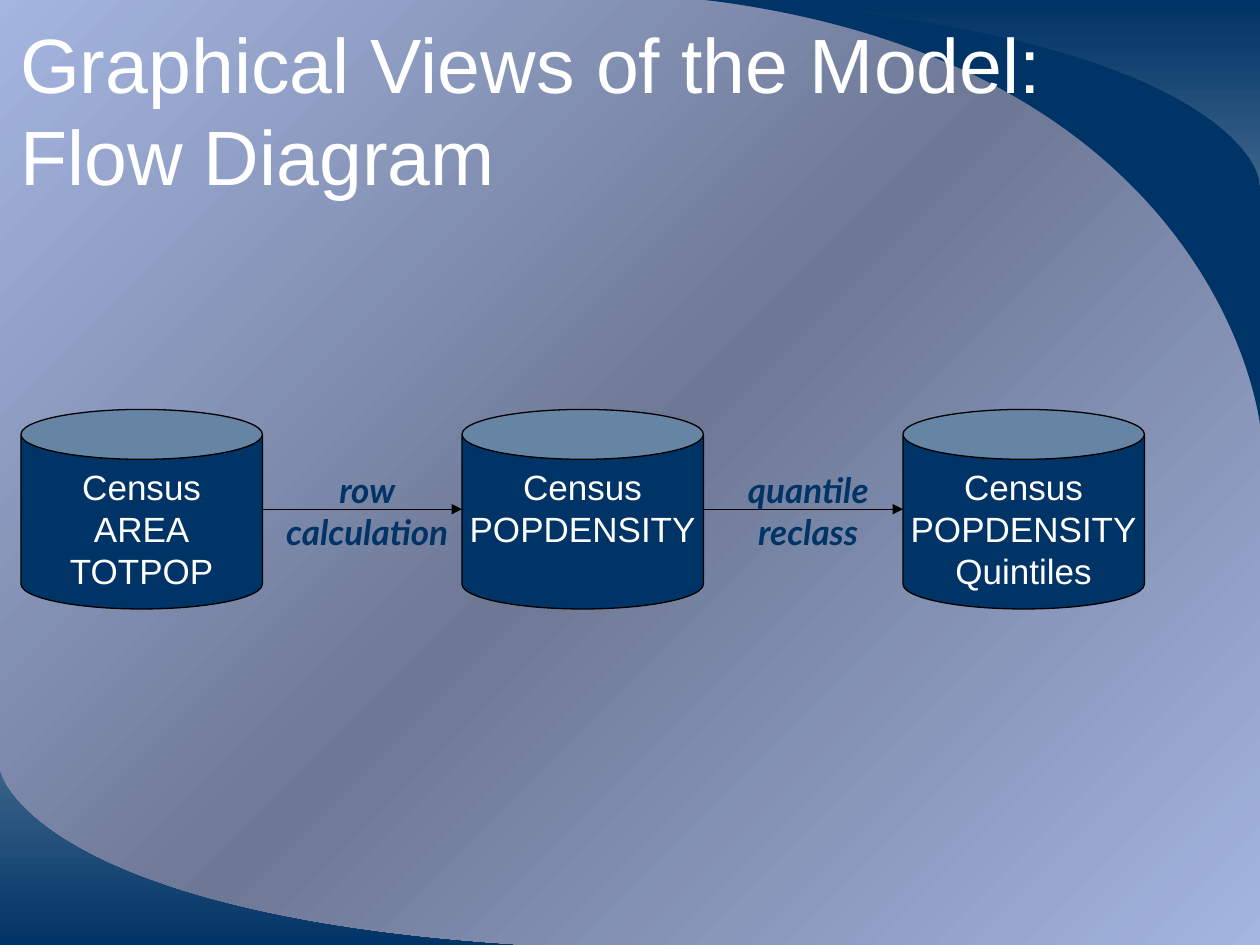
from pptx import Presentation
from pptx.dml.color import RGBColor
from pptx.enum.shapes import MSO_CONNECTOR, MSO_SHAPE
from pptx.enum.text import MSO_ANCHOR, PP_ALIGN
from pptx.oxml.ns import qn
from pptx.oxml.xmlchemy import OxmlElement
from pptx.util import Inches, Pt
from copy import deepcopy

NAVY, STEEL, WHITE, BLACK = "003366", "3D648A", "FFFFFF", "000000"
color = RGBColor.from_string


def add_lines(frame, lines, size, font, hex_color, align, slanted=False):
    """Write one paragraph per line; a tuple is one paragraph with line breaks."""
    for index, line in enumerate(lines):
        paragraph = frame.paragraphs[0] if index == 0 else frame.add_paragraph()
        paragraph.alignment = align
        for part, text in enumerate(line if isinstance(line, tuple) else (line,)):
            if part:
                paragraph.add_line_break()
            run = paragraph.add_run()
            run.text = text
            run.font.size = Pt(size)
            run.font.name = font
            run.font.bold = run.font.italic = slanted
            run.font.color.rgb = color(hex_color)


def set_gradient(fill, first, last, angle):
    fill.gradient()
    fill.gradient_angle = angle
    for stop, position, hex_color in zip(fill.gradient_stops, (0, 1), (first, last)):
        stop.position = position
        stop.color.rgb = color(hex_color)


presentation = Presentation()
presentation.slide_width, presentation.slide_height = Inches(10), Inches(7.5)
slide = presentation.slides.add_slide(presentation.slide_layouts[5])
shapes = slide.shapes

# Diagonal background, darkest in the middle
background = slide.background.fill
set_gradient(background, "A4B5E0", "6D7895", 135)
background.gradient_stops[1].position = 0.5
stop_list = next(slide.element.iter(qn("a:gsLst")))
end_stop = deepcopy(stop_list[0])
end_stop.set("pos", "100000")
stop_list.append(end_stop)

# Corner swooshes: a Bézier curve (four points) closed through a slide corner
swooshes = [
    (((5.6, 0), (9.32, 0.46), (10.02, 2.92), (10.02, 3.6)), (10.02, 0), None),
    (((4.41, 7.52), (0.69, 7.34), (-0.01, 6.33), (-0.01, 6.06)), (-0.01, 7.52), (STEEL, NAVY)),
    (((5.58, 0), (9.31, 0.19), (10, 1.19), (10, 1.47)), (10, 0), (NAVY, STEEL)),
]
for curve, corner, gradient in swooshes:
    start, *others = [(Inches(x), Inches(y)) for x, y in curve + (corner,)]
    builder = shapes.build_freeform(*start)
    builder.add_line_segments(others, close=True)
    swoosh = builder.convert_to_shape()
    # Turn the first three segments into one cubic curve
    segments = list(swoosh.element.iter(qn("a:lnTo")))[:3]
    bezier = OxmlElement("a:cubicBezTo")
    segments[0].addprevious(bezier)
    for segment in segments:
        bezier.append(segment[0])
        segment.getparent().remove(segment)
    swoosh.shadow.inherit = False
    swoosh.line.fill.background()
    if gradient:
        set_gradient(swoosh.fill, *gradient, 270)
    else:
        swoosh.fill.solid()
        swoosh.fill.fore_color.rgb = color(NAVY)

# Title, brought in front of the swooshes
title = shapes.title
shapes.element.append(title.element)
title.left, title.top, title.width, title.height = map(Inches, (0.06, 0.24, 8.5, 1.25))
title.text_frame.vertical_anchor = MSO_ANCHOR.MIDDLE
title.text_frame.word_wrap = True
add_lines(title.text_frame, [("Graphical Views of the Model: ", "Flow Diagram")],
          44, "Arial", WHITE, PP_ALIGN.LEFT)

# Flow: three data stores on an even pitch, joined by two labelled arrows
LEFT, TOP, PITCH, WIDTH, HEIGHT = 2 / 12, 39 / 12, 42 / 12, 23 / 12, 19 / 12
stores = [
    ["Census", "AREA", "TOTPOP"],
    ["Census", "POPDENSITY"],
    ["Census", "POPDENSITY", "Quintiles"],
]
steps = [(["row", "calculation"], 1.66), (["quantile", "reclass"], 1.3)]

for column, lines in enumerate(stores):
    store = shapes.add_shape(MSO_SHAPE.CAN, Inches(LEFT + column * PITCH), Inches(TOP),
                             Inches(WIDTH), Inches(HEIGHT))
    store.adjustments[0] = 0.25
    store.shadow.inherit = False
    store.fill.solid()
    store.fill.fore_color.rgb = color(NAVY)
    store.line.color.rgb = color(BLACK)
    store.line.width = Pt(0.75)
    store.text_frame.word_wrap = False
    store.text_frame.vertical_anchor = MSO_ANCHOR.TOP
    add_lines(store.text_frame, lines, 20, "Arial", WHITE, PP_ALIGN.CENTER)

LABEL_TOP, LABEL_HEIGHT, LABEL_SHIFT = 3.67, 0.77, 0.04
middle = TOP + HEIGHT / 2
for column, (lines, label_width) in enumerate(steps):
    start = LEFT + column * PITCH + WIDTH
    end = LEFT + (column + 1) * PITCH
    arrow = shapes.add_connector(MSO_CONNECTOR.STRAIGHT, Inches(start), Inches(middle),
                                 Inches(end), Inches(middle))
    arrow.line.color.rgb = color(BLACK)
    arrow.line.width = Pt(0.75)
    arrowhead = OxmlElement("a:tailEnd")
    arrowhead.set("type", "triangle")
    arrow.line._get_or_add_ln().append(arrowhead)
    arrow.element.spPr.append(OxmlElement("a:effectLst"))

    label = shapes.add_textbox(Inches((start + end - label_width) / 2 + LABEL_SHIFT),
                               Inches(LABEL_TOP), Inches(label_width), Inches(LABEL_HEIGHT))
    label.text_frame.word_wrap = False
    add_lines(label.text_frame, lines, 20, "Lato", NAVY, PP_ALIGN.CENTER, slanted=True)

presentation.save("out.pptx")
